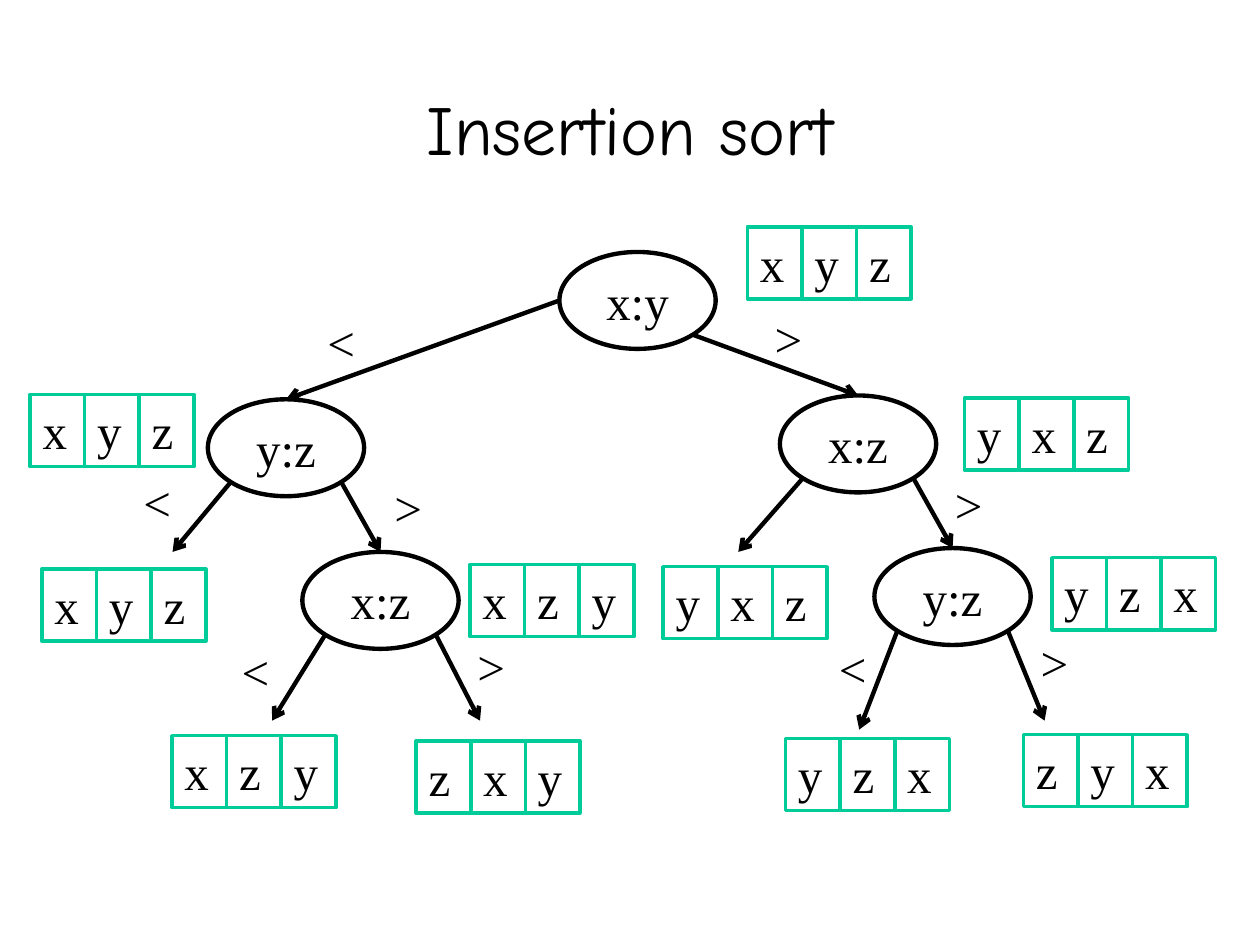
from dataclasses import dataclass
from math import cos, radians, sin

from lxml import etree
from pptx import Presentation
from pptx import util as u
from pptx.dml.color import RGBColor
from pptx.enum import shapes, text
from pptx.oxml import ns


@dataclass(frozen=True)
class Theme:
    ink: RGBColor = RGBColor(0, 0, 0)
    array: RGBColor = RGBColor(0x00, 0xCC, 0x99)
    title_font: str = "Comic Neue"
    body_font: str = "Times New Roman"
    title_size: float = 40
    body_size: float = 28
    node_line: float = 2.5
    array_line: float = 2


NODE_W, NODE_H = 89.3, 55.4
CELL_W, CELL_H = 31.2, 41.2
SIGN_SIZE = 41.2


def write(shape, words, *, font, size, color, align=text.PP_ALIGN.LEFT,
          anchor=text.MSO_ANCHOR.TOP, inset=None, grow=False):
    frame = shape.text_frame
    frame.word_wrap = True
    frame.vertical_anchor = anchor
    if grow:
        frame.auto_size = text.MSO_AUTO_SIZE.SHAPE_TO_FIT_TEXT
    if inset is not None:
        frame.margin_left = frame.margin_right = u.Pt(inset)
        frame.margin_top = frame.margin_bottom = u.Pt(inset)
    paragraph = frame.paragraphs[0]
    paragraph.alignment = align
    run = paragraph.add_run()
    run.text = words
    run.font.name = font
    run.font.size = u.Pt(size)
    run.font.color.rgb = color


class DecisionTree:
    """Draws the parts of a comparison tree on one slide."""

    def __init__(self, slide, theme):
        self.slide = slide
        self.theme = theme
        self.body = dict(font=theme.body_font, size=theme.body_size, color=theme.ink)

    def outline(self, parent, preset, box, color, width):
        shape = parent.add_shape(preset, *map(u.Pt, box))
        shape.shadow.inherit = False
        shape.fill.background()
        shape.line.color.rgb = color
        shape.line.width = u.Pt(width)
        return shape

    def title(self, words):
        heading = self.slide.shapes.add_textbox(*map(u.Pt, (54, 28, 612, 90)))
        write(heading, words, font=self.theme.title_font, size=self.theme.title_size,
              color=self.theme.ink, align=text.PP_ALIGN.CENTER,
              anchor=text.MSO_ANCHOR.MIDDLE)

    def node(self, words, left, top):
        comparison = self.outline(
            self.slide.shapes, shapes.MSO_SHAPE.OVAL, (left, top, NODE_W, NODE_H),
            self.theme.ink, self.theme.node_line)
        write(comparison, words, align=text.PP_ALIGN.CENTER,
              anchor=text.MSO_ANCHOR.MIDDLE, inset=0, **self.body)

    def branch(self, node, angle, tip):
        left, top = node
        start = (left + NODE_W / 2 * (1 + cos(radians(angle))),
                 top + NODE_H / 2 * (1 + sin(radians(angle))))
        arrow = self.slide.shapes.add_connector(
            shapes.MSO_CONNECTOR.STRAIGHT, *map(u.Pt, (*start, *tip)))
        arrow.line.color.rgb = self.theme.ink
        arrow.line.width = u.Pt(self.theme.node_line)
        etree.SubElement(arrow.line._get_or_add_ln(), ns.qn("a:tailEnd"), type="arrow")
        etree.SubElement(arrow._element.spPr, ns.qn("a:effectLst"))

    def sign(self, words, left, top):
        label = self.slide.shapes.add_textbox(
            *map(u.Pt, (left, top, SIGN_SIZE, SIGN_SIZE)))
        write(label, words, grow=True, **self.body)

    def array(self, letters, left, top):
        row = self.slide.shapes.add_group_shape().shapes
        for i, letter in enumerate(letters):
            cell = self.outline(
                row, shapes.MSO_SHAPE.RECTANGLE,
                (left + i * CELL_W, top, CELL_W, CELL_H),
                self.theme.array, self.theme.array_line)
            write(cell, letter, grow=True, **self.body)


NODES = {
    "root": ("x:y", 319.7, 144),
    "less": ("y:z", 118.8, 228.2),
    "more": ("x:z", 445.7, 226),
    "less_more": ("x:z", 172.8, 315.4),
    "more_more": ("y:z", 499.7, 313.2),
}
BRANCHES = [
    ("root", 180, "less"),
    ("root", 45, "more"),
    ("less", 135, (98.6, 315.4)),
    ("less", 45, "less_more"),
    ("more", 135, (421.9, 315.4)),
    ("more", 45, "more_more"),
    ("less_more", 135, (155.5, 411.8)),
    ("less_more", 45, (274.3, 411.8)),
    ("more_more", 135, (491, 416.9)),
    ("more_more", 45, (596.9, 411.8)),
]
SIGNS = [
    ("<", 180, 175), (">", 435.6, 172.8),
    ("<", 74.9, 266.4), (">", 218.2, 269.3), (">", 538.6, 267.8),
    ("<", 131, 362.9), (">", 265.7, 360),
    ("<", 472.3, 361.4), (">", 587.5, 357.8),
]
ARRAYS = [
    ("xyz", 427.1, 129.6), ("xyz", 17.2, 225.4), ("yxz", 551.2, 227.4),
    ("xyz", 24, 325.2), ("yxz", 379, 323.8), ("yzx", 601, 318.7),
    ("yzx", 448.9, 422), ("zyx", 584.8, 419.8), ("xzy", 268.6, 322.6),
    ("zxy", 237.8, 423.4), ("xzy", 98.3, 420.4),
]


def main():
    deck = Presentation()
    deck.slide_width, deck.slide_height = u.Pt(720), u.Pt(540)
    tree = DecisionTree(deck.slides.add_slide(deck.slide_layouts[6]), Theme())
    tree.title("Insertion sort")
    for comparison in NODES.values():
        tree.node(*comparison)
    for parent, angle, end in BRANCHES:
        if end in NODES:
            _, left, top = NODES[end]
            end = (left + NODE_W / 2, top)
        tree.branch(NODES[parent][1:], angle, end)
    for sign in SIGNS:
        tree.sign(*sign)
    for array in ARRAYS:
        tree.array(*array)
    deck.save("out.pptx")


if __name__ == "__main__":
    main()
